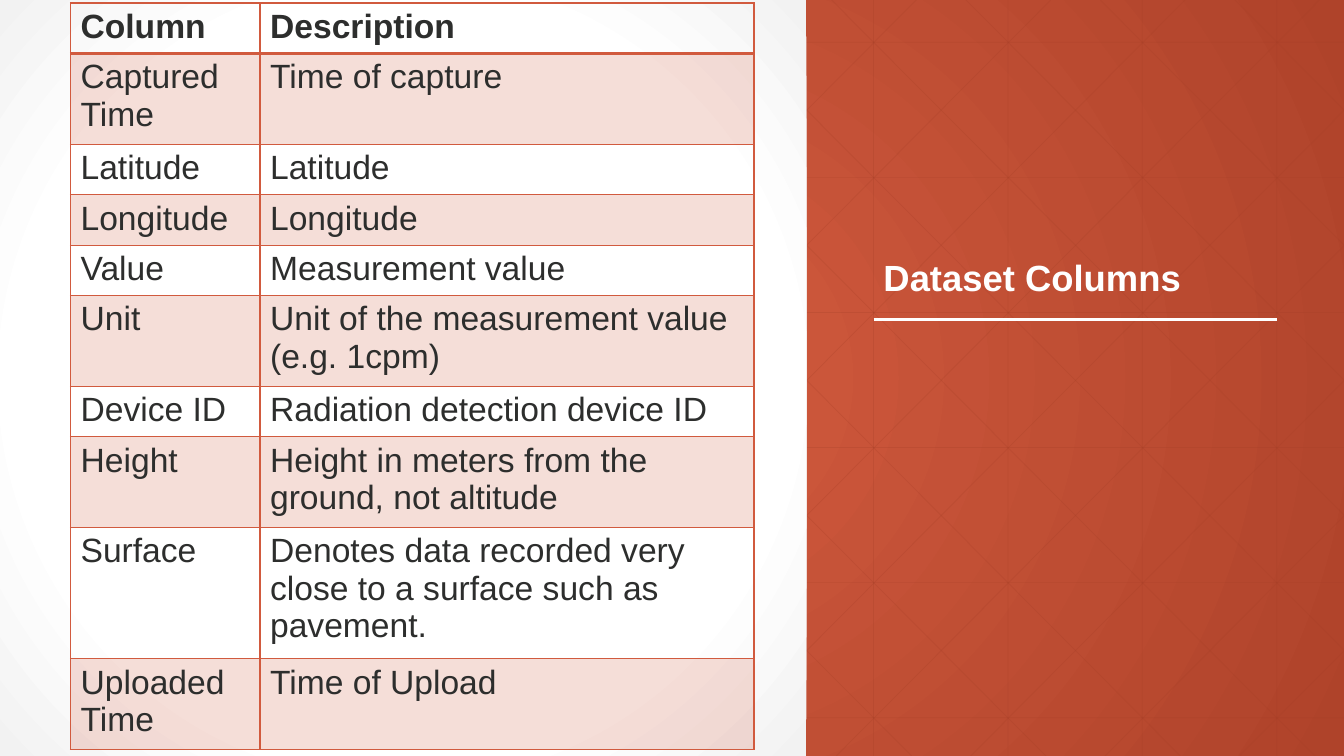
from lxml.etree import SubElement
from pptx import Presentation
from pptx.dml.color import RGBColor
from pptx.enum.shapes import MSO_CONNECTOR, MSO_SHAPE
from pptx.enum.text import MSO_ANCHOR
from pptx.oxml import parse_xml
from pptx.oxml.ns import nsdecls, qn
from pptx.util import Inches, Pt

W, H = 13.333, 7.5
PANEL_W = W * 0.6
STEP = W / 10
FONT = "Arial"
COLORS = {"accent": "D15A3E", "deep": "AF432A", "grid": "A43F27",
          "white": "FFFFFF", "mist": "F2F2F2", "text": "2D2E2D"}
COL_WIDTHS = (1.88, 4.9)
ROW_HEIGHTS = {1: 0.5, 2: 0.89, 3: 1.29}
# Each row: column name, description, number of text lines
ROWS = [
    ("Column", "Description", 1),
    ("Captured Time", "Time of capture", 2),
    ("Latitude", "Latitude", 1),
    ("Longitude", "Longitude", 1),
    ("Value", "Measurement value", 1),
    ("Unit", "Unit of the measurement value (e.g. 1cpm)", 2),
    ("Device ID", "Radiation detection device ID", 1),
    ("Height", "Height in meters from the ground, not altitude", 2),
    ("Surface", "Denotes data recorded very close to a surface such as pavement.", 3),
    ("Uploaded Time", "Time of Upload", 2),
]


def rgb(name):
    """Return a named colour."""
    return RGBColor.from_string(COLORS[name])


def set_alpha(fill_parent, percent):
    """Make the solid fill below an element partly transparent."""
    clr = fill_parent.find(".//" + qn("a:srgbClr"))
    SubElement(clr, qn("a:alpha"), val=str(percent * 1000))


def radial_fill(fill, parent, stops):
    """Give a fill a circular gradient of (position, colour name) stops."""
    fill.gradient()
    gs = "".join(f'<a:gs pos="{pos * 1000}"><a:srgbClr val="{COLORS[name]}"/></a:gs>'
                 for pos, name in stops)
    old = parent.find(".//" + qn("a:gradFill"))
    old.getparent().replace(old, parse_xml(
        f'<a:gradFill {nsdecls("a")} rotWithShape="1"><a:gsLst>{gs}</a:gsLst>'
        '<a:path path="circle"><a:fillToRect l="50000" t="50000" r="50000" b="50000"/>'
        '</a:path></a:gradFill>'))


def add_line(s, x1, y1, x2, y2, color, width, alpha=None):
    """Draw a straight line between two points in inches."""
    sp = s.shapes.add_connector(MSO_CONNECTOR.STRAIGHT, *map(Inches, (x1, y1, x2, y2)))
    sp.line.color.rgb = rgb(color)
    sp.line.width = Pt(width)
    if alpha:
        set_alpha(sp.line._get_or_add_ln(), alpha)
    SubElement(sp._element.spPr, qn("a:effectLst"))


def add_grid(s):
    """Draw the faint upright, level and diagonal lines reaching the red side."""
    run = 7.46
    lines = [(x, 0, x, H) for x in (STEP * (i + 0.5) for i in range(6, 10))]
    lines += [(0, y, W, y) for y in (0.42 + 1.34 * i for i in range(6))]
    for i in range(1, 10):
        x = 0.25 + STEP * i
        end = min(x + run, W)
        lines.append((x, 0, end, (end - x) * H / run))
    for i in range(-3, 6):
        x = 13.09 + STEP * i
        start = min(x, W)
        lines.append((start, (x - start) * H / run, x - run, H))
    for line in lines:
        add_line(s, *line, "grid", 0.5, alpha=25)


def add_panel(s):
    """Draw the pale panel behind the table."""
    sp = s.shapes.add_shape(MSO_SHAPE.RECTANGLE, 0, 0, Inches(PANEL_W), Inches(H))
    sp.shadow.inherit = False
    sp.line.fill.background()
    radial_fill(sp.fill, sp._element.spPr, [(0, "white"), (69, "white"), (100, "mist")])


def style_text(p, size, color, bold):
    """Set the font of a paragraph."""
    p.font.name, p.font.size, p.font.bold = FONT, Pt(size), bold
    p.font.color.rgb = rgb(color)


def add_title(s, text):
    """Write the title above its rule."""
    add_line(s, STEP * 6.5, 3.17, STEP * 9.5, 3.17, "white", 1.5)
    sp = s.shapes.add_textbox(*map(Inches, (STEP * 6.5, 0.62, STEP * 3, 2.4)))
    tf = sp.text_frame
    tf.word_wrap = True
    tf.vertical_anchor = MSO_ANCHOR.BOTTOM
    p = tf.paragraphs[0]
    p.text = text
    p.line_spacing = 0.9
    style_text(p, 26, "white", True)


def set_borders(cell, bottom):
    """Outline a cell, with its own width for the bottom edge."""
    tcPr = cell._tc.get_or_add_tcPr()
    for i, (side, width) in enumerate(zip("LRTB", (1, 1, 1, bottom))):
        tcPr.insert(i, parse_xml(
            f'<a:ln{side} {nsdecls("a")} w="{Pt(width)}"><a:solidFill>'
            f'<a:srgbClr val="{COLORS["accent"]}"/></a:solidFill></a:ln{side}>'))


def add_columns_table(s):
    """Build the banded table of dataset columns."""
    heights = [ROW_HEIGHTS[lines] for *_, lines in ROWS]
    table = s.shapes.add_table(len(ROWS), len(COL_WIDTHS), *map(
        Inches, (0.7, 0.03, sum(COL_WIDTHS), sum(heights)))).table
    table.first_row = table.horz_banding = False
    for col, width in zip(table.columns, COL_WIDTHS):
        col.width = Inches(width)
    for r, (*texts, _) in enumerate(ROWS):
        table.rows[r].height = Inches(heights[r])
        for c, text in enumerate(texts):
            cell = table.cell(r, c)
            cell.text = text
            style_text(cell.text_frame.paragraphs[0], 24, "text", r == 0)
            if r % 2:
                cell.fill.solid()
                cell.fill.fore_color.rgb = rgb("accent")
                set_alpha(cell._tc.tcPr, 20)
            else:
                cell.fill.background()
            set_borders(cell, bottom=1 if r else 2)


def main():
    """Build and save the slide."""
    prs = Presentation()
    prs.slide_width, prs.slide_height = Inches(W), Inches(H)
    s = prs.slides.add_slide(prs.slide_layouts[6])
    radial_fill(s.background.fill, s._element, [(0, "accent"), (100, "deep")])
    add_grid(s)
    add_panel(s)
    add_title(s, "Dataset Columns")
    add_columns_table(s)
    prs.save("out.pptx")


main()
